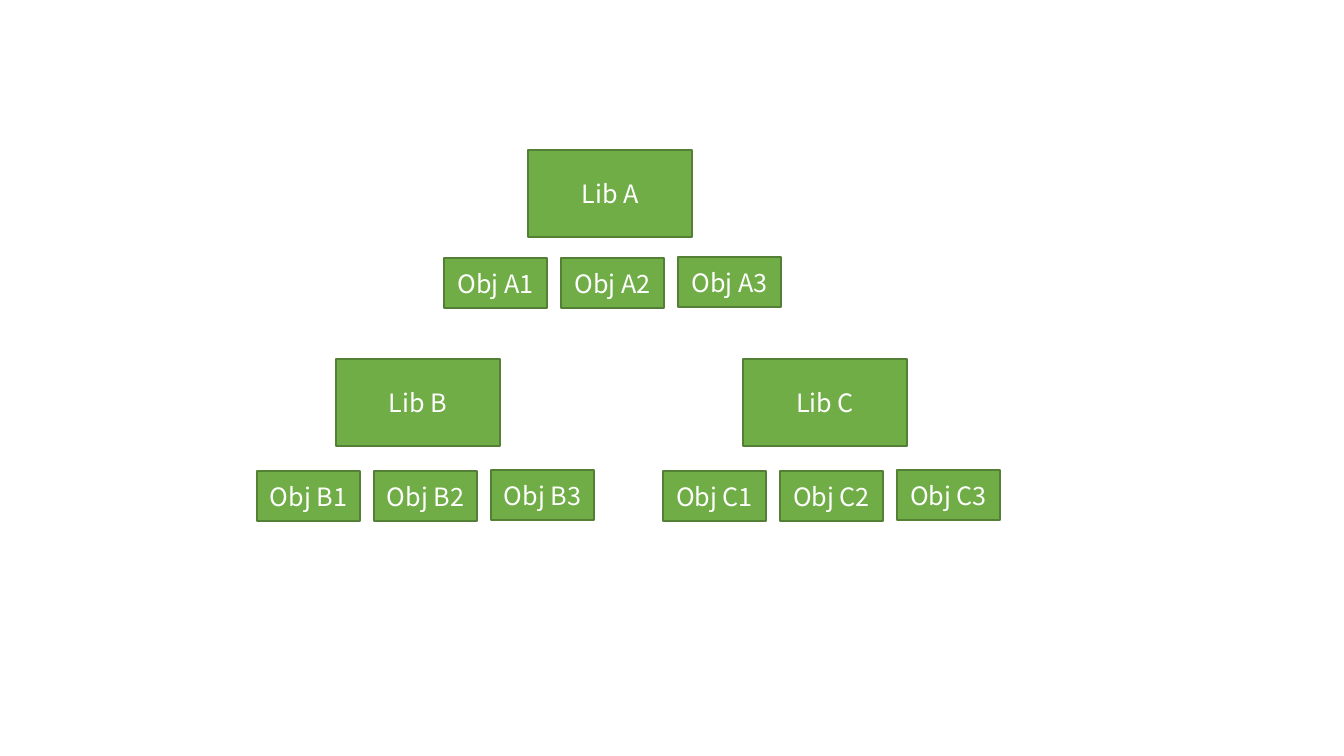
import dataclasses

import pptx
import pptx.dml.color
import pptx.enum.shapes
import pptx.enum.text
import pptx.util

SCALE = 914400 / 100.8
SLIDE_SIZE = (1344, 756)
LIB_SIZE = (164, 87)
OBJ_SIZE = (103, 50)
OBJ_PITCH = 117
OBJ_COUNT = 3
LAST_OBJ_LIFT = 1


@dataclasses.dataclass(frozen=True)
class Theme:
    """Colours, font and sizes of the slide."""
    fill: str = "70AD47"
    line: str = "538035"
    text: str = "FFFFFF"
    font: str = "Noto Sans CJK SC"
    size: int = 18
    line_width: int = 1


THEME = Theme()


def emu(pixels):
    """Turn pixels into EMU."""
    return pptx.util.Emu(round(pixels * SCALE))


def rgb(code):
    """Turn a hex code into a colour."""
    return pptx.dml.color.RGBColor.from_string(code)


def write_text(shape, text, *, size=THEME.size, color=THEME.text, font=THEME.font):
    """Write one centred line of text into a shape."""
    frame = shape.text_frame
    frame.word_wrap = True
    frame.margin_left = frame.margin_right = 0
    frame.vertical_anchor = pptx.enum.text.MSO_ANCHOR.MIDDLE
    para = frame.paragraphs[0]
    para.alignment = pptx.enum.text.PP_ALIGN.CENTER
    span = para.add_run()
    span.text = text
    span.font.name = font
    span.font.size = pptx.util.Pt(size)
    span.font.color.rgb = rgb(color)


def add_box(page, box, text):
    """Draw a labelled green rectangle at left, top, width, height."""
    shape = page.shapes.add_shape(
        pptx.enum.shapes.MSO_SHAPE.RECTANGLE, *map(emu, box))
    shape.shadow.inherit = False
    shape.fill.solid()
    shape.fill.fore_color.rgb = rgb(THEME.fill)
    shape.line.color.rgb = rgb(THEME.line)
    shape.line.width = pptx.util.Pt(THEME.line_width)
    write_text(shape, text)


def add_library(page, box, name, lib_indent):
    """Draw a library on top of its box and its objects along the bottom."""
    left, top, width, height = box
    add_box(page, (left + lib_indent, top, *LIB_SIZE), f"Lib {name}")
    obj_top = top + height - OBJ_SIZE[1]
    for index in range(OBJ_COUNT):
        lift = LAST_OBJ_LIFT if index == OBJ_COUNT - 1 else 0
        place = (left + index * OBJ_PITCH, obj_top - lift, *OBJ_SIZE)
        add_box(page, place, f"Obj {name}{index + 1}")


def build():
    """Build and save the deck."""
    deck = pptx.Presentation()
    deck.slide_width, deck.slide_height = map(emu, SLIDE_SIZE)
    page = deck.slides.add_slide(deck.slide_layouts[6])
    width = OBJ_PITCH * (OBJ_COUNT - 1) + OBJ_SIZE[0]
    add_library(page, (444, 150, width, 158), "A", lib_indent=84)
    add_library(page, (257, 359, width, 162), "B", lib_indent=79)
    add_library(page, (663, 359, width, 162), "C", lib_indent=80)
    deck.save("out.pptx")


build()
